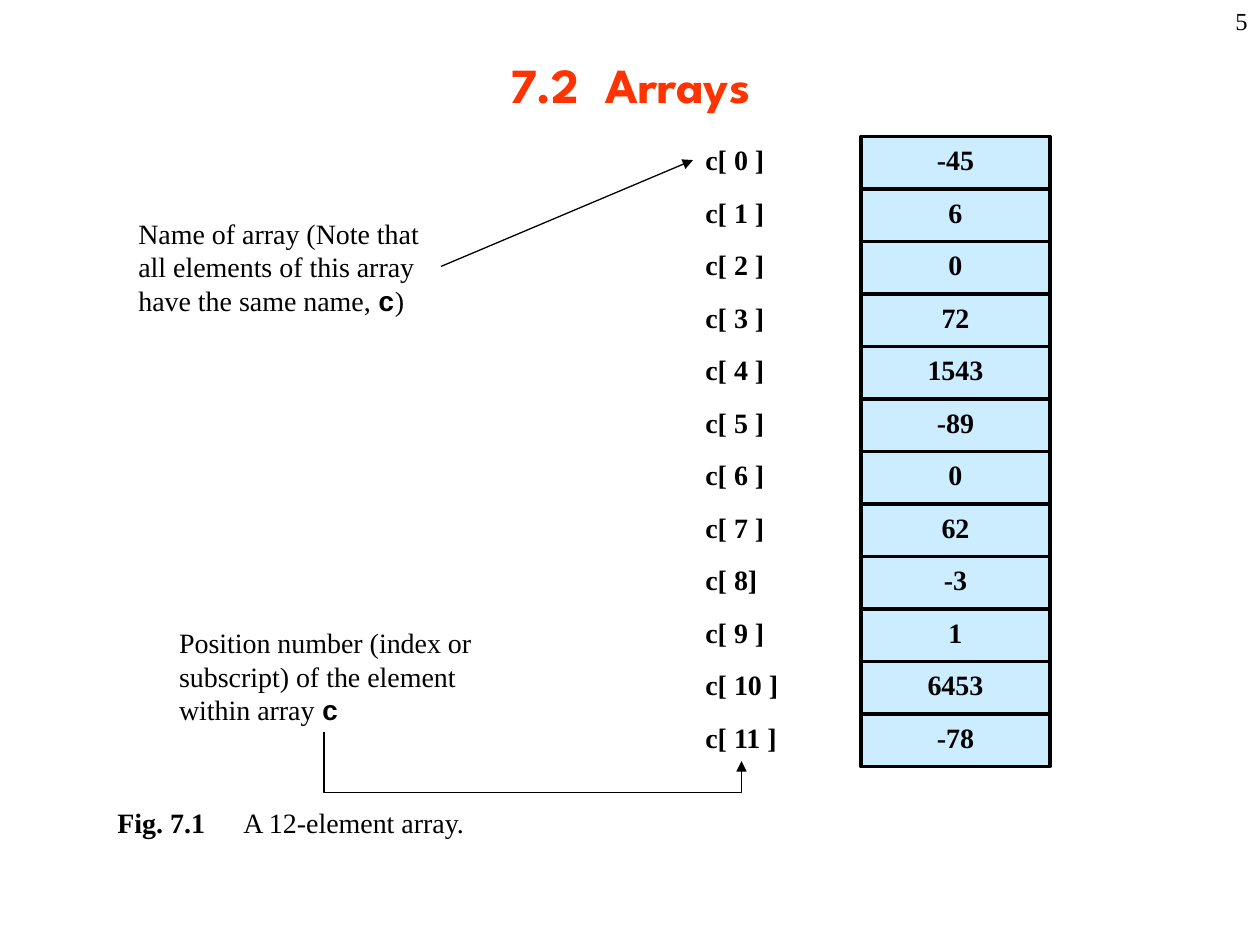
import pptx
import pptx.dml.color
import pptx.enum.shapes
import pptx.enum.text
import pptx.oxml
import pptx.oxml.ns
import pptx.util

PX = 9525  # EMU per pixel, 96 pixels to the inch
COLORS = {"title": "FF3300", "ink": "000000", "cell": "CCECFF"}
SERIF, MONO, DISPLAY = "Times New Roman", "Courier New", "League Spartan"
ALIGN = pptx.enum.text.PP_ALIGN
ANCHOR = pptx.enum.text.MSO_ANCHOR

VALUES = [-45, 6, 0, 72, 1543, -89, 0, 62, -3, 1, 6453, -78]
LABELS = [f"c[ {index} ]" for index in range(len(VALUES))]
LABELS[8] = "c[ 8]"
LABEL_WIDTHS = {5: 59, 6: 64, 7: 75}  # by number of characters
ARRAY_TOP, ROW_HEIGHT = 104, 40
LABEL_LEFT, CELL_LEFT, CELL_WIDTH = 528, 656, 144


def px(*lengths):
    return [pptx.util.Emu(length * PX) for length in lengths]


def rgb(name):
    return pptx.dml.color.RGBColor.from_string(COLORS[name])


def write(shape, *runs, size=16, align=ALIGN.LEFT, anchor=ANCHOR.TOP,
          color="ink", wrap=True):
    """Fill a shape with one paragraph of (text, font name, bold) runs."""
    frame = shape.text_frame
    frame.word_wrap = wrap
    frame.vertical_anchor = anchor
    paragraph = frame.paragraphs[0]
    paragraph.alignment = align
    for text, font_name, bold in runs:
        run = paragraph.add_run()
        run.text = text
        run.font.name = font_name
        run.font.size = pptx.util.Pt(size)
        run.font.bold = bold
        run.font.color.rgb = rgb(color)


def add_text(slide, box, *runs, **text_format):
    write(slide.shapes.add_textbox(*px(*box)), *runs, **text_format)


def add_cell(slide, box, text):
    cell = slide.shapes.add_shape(
        pptx.enum.shapes.MSO_SHAPE.RECTANGLE, *px(*box))
    cell.shadow.inherit = False
    cell.fill.solid()
    cell.fill.fore_color.rgb = rgb("cell")
    cell.line.color.rgb = rgb("ink")
    cell.line.width = pptx.util.Pt(2)
    write(cell, (text, SERIF, True), align=ALIGN.CENTER)


def add_arrow(slide, kind, start, end):
    arrow = slide.shapes.add_connector(kind, *px(*start, *end))
    arrow.line.color.rgb = rgb("ink")
    arrow.line.width = pptx.util.Pt(0.75)
    pptx.oxml.parse_xml  # noqa: B018
    line = arrow.line._get_or_add_ln()
    head = line.makeelement(pptx.oxml.ns.qn("a:tailEnd"), {"type": "triangle"})
    line.append(head)
    properties = arrow._element.spPr
    properties.append(
        properties.makeelement(pptx.oxml.ns.qn("a:effectLst"), {}))
    return arrow


def add_hook_arrow(slide, start, end, bottom):
    """Arrow that drops from start to bottom, runs across and rises to end."""
    (left, top), (right, tip) = start, end
    width, height = right - left, tip - top
    center_x, center_y = (left + right) // 2, (top + tip) // 2
    # The elbow is laid out upright, then turned by 270 degrees
    arrow = add_arrow(
        slide, pptx.enum.shapes.MSO_CONNECTOR.ELBOW,
        (center_x + height // 2, center_y - width // 2),
        (center_x - height // 2, center_y + width // 2))
    properties = arrow._element.spPr
    properties.find(pptx.oxml.ns.qn("a:xfrm")).set("rot", str(270 * 60000))
    geometry = properties.find(pptx.oxml.ns.qn("a:prstGeom"))
    guides = geometry.find(pptx.oxml.ns.qn("a:avLst"))
    ratio = round((bottom - top) / height * 100000)
    guides.append(guides.makeelement(
        pptx.oxml.ns.qn("a:gd"), {"name": "adj1", "fmla": f"val {ratio}"}))


def main():
    presentation = pptx.Presentation()
    presentation.slide_width, presentation.slide_height = px(960, 720)
    slide = presentation.slides.add_slide(presentation.slide_layouts[5])

    # Title and caption
    title = slide.shapes.title
    title.left, title.top, title.width, title.height = px(72, 8, 816, 112)
    write(title, ("7.2  Arrays", DISPLAY, True), size=28,
          align=ALIGN.CENTER, anchor=ANCHOR.MIDDLE, color="title")
    add_text(slide, (80, 609, 600, 35), ("Fig. 7.1\t", SERIF, True),
             ("A 12-element array.", SERIF, False))

    # Array: a label and a value cell in each row
    for row, (label, value) in enumerate(zip(LABELS, VALUES)):
        top = ARRAY_TOP + row * ROW_HEIGHT
        add_cell(slide, (CELL_LEFT, top, CELL_WIDTH, ROW_HEIGHT), str(value))
        add_text(slide, (LABEL_LEFT, top, LABEL_WIDTHS[len(label)], 35),
                 (label, SERIF, True), wrap=False)

    # Notes with their arrows
    add_text(slide, (127, 472, 242, 86),
             ("Position number (index or subscript) of the element "
              "within array ", SERIF, False), ("c", MONO, True))
    add_hook_arrow(slide, (247, 558), (565, 580), bottom=604)
    add_text(slide, (96, 160, 240, 86),
             ("Name of array (Note that all elements of this array "
              "have the same name, ", SERIF, False),
             ("c", MONO, True), (")", SERIF, False))
    add_arrow(slide, pptx.enum.shapes.MSO_CONNECTOR.STRAIGHT,
              (336, 203), (528, 122))

    # Slide number
    add_text(slide, (760, 0, 200, 48), ("5", SERIF, False), size=14,
             align=ALIGN.RIGHT)

    presentation.save("out.pptx")


if __name__ == "__main__":
    main()
